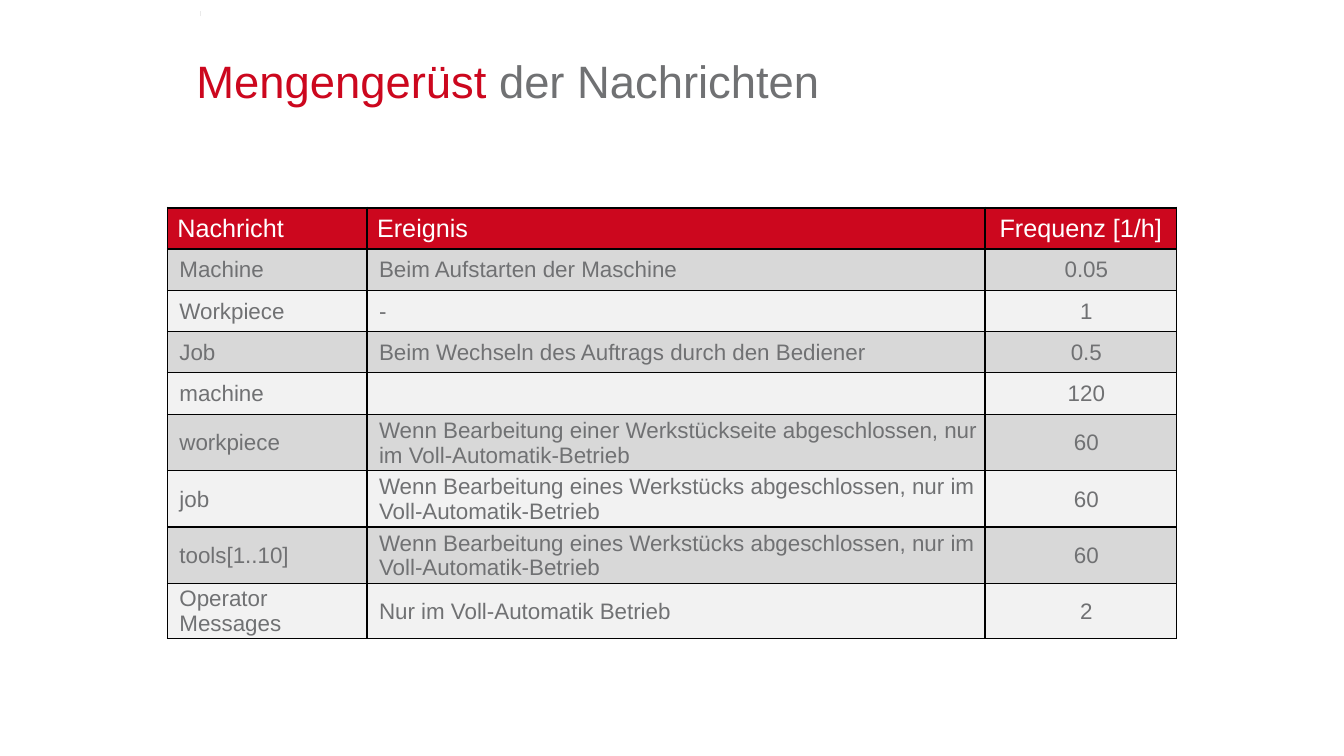
from lxml.etree import SubElement
from pptx import Presentation
from pptx.dml.color import RGBColor
from pptx.enum.shapes import MSO_CONNECTOR
from pptx.enum.text import MSO_ANCHOR, PP_ALIGN
from pptx.oxml.ns import qn
from pptx.util import Inches, Pt

RED, GRAY, WHITE, BLACK = "CC071E", "707173", "FFFFFF", "000000"
BANDS = ("D8D8D8", "F2F2F2")
COLUMN_WIDTHS = (1.98, 6.13, 1.9)
ROW_HEIGHTS = [0.41] * 5 + [0.56] * 3 + [0.48]
HEADER_INSETS = (0.1, 0.05, 0.1, 0.05)
BODY_INSETS = (0.12, 0.01, 0.01, 0)
WORKPIECE_DONE = "Wenn Bearbeitung eines Werkstücks abgeschlossen, nur im Voll-Automatik-Betrieb"
MESSAGES = [
    ("Nachricht", "Ereignis", "Frequenz [1/h]"),
    ("Machine", "Beim Aufstarten der Maschine", "0.05"),
    ("Workpiece", "-", "1"),
    ("Job", "Beim Wechseln des Auftrags durch den Bediener", "0.5"),
    ("machine", "", "120"),
    ("workpiece", "Wenn Bearbeitung einer Werkstückseite abgeschlossen, nur im Voll-Automatik-Betrieb", "60"),
    ("job", WORKPIECE_DONE, "60"),
    ("tools[1..10]", WORKPIECE_DONE, "60"),
    ("Operator\nMessages", "Nur im Voll-Automatik Betrieb", "2"),
]


def color(value):
    return RGBColor.from_string(value)


def set_insets(target, insets):
    for side, inset in zip(("left", "top", "right", "bottom"), insets):
        setattr(target, f"margin_{side}", Inches(inset))


def add_span(para, text, size, shade):
    span = para.add_run()
    span.text = text
    for name, value in {"name": "Arial", "size": Pt(size), "bold": False}.items():
        setattr(span.font, name, value)
    span.font.color.rgb = color(shade)


def add_tick(page, left, top, height):
    tick = page.shapes.add_connector(
        MSO_CONNECTOR.STRAIGHT, Inches(left), Inches(top + height), Inches(left), Inches(top))
    tick.line.color.rgb = color("EAEAEA")
    tick.line.width = Pt(1)
    SubElement(tick._element.spPr, qn("a:effectLst"))


def add_title(page, left, top, width, height):
    box = page.shapes.add_textbox(*map(Inches, (left, top, width, height)))
    frame = box.text_frame
    frame.word_wrap = True
    frame.vertical_anchor = MSO_ANCHOR.BOTTOM
    set_insets(frame, (0.1,) * 4)
    para = frame.paragraphs[0]
    para.line_spacing = 1.12
    add_span(para, "Mengengerüst", 32.4, RED)
    add_span(para, " der Nachrichten", 32.4, GRAY)


def add_borders(cell, widths):
    properties = cell._tc.get_or_add_tcPr()
    for side, width in widths.items():
        line = SubElement(properties, qn(f"a:ln{side}"), w=str(Pt(width)))
        fill = SubElement(line, qn("a:solidFill"))
        SubElement(fill, qn("a:srgbClr"), val=BLACK)


def fill_cell(cell, text, row, column):
    header = row == 0
    add_borders(cell, {
        "L": 1.5 if column == 1 else 1,
        "R": 1.5 if column == 0 else 1,
        "T": 1.5 if header else 1,
        "B": 1,
    })
    cell.fill.solid()
    cell.fill.fore_color.rgb = color(RED if header else BANDS[(row - 1) % 2])
    cell.vertical_anchor = MSO_ANCHOR.MIDDLE
    set_insets(cell, HEADER_INSETS if header else BODY_INSETS)
    frame = cell.text_frame
    for index, line in enumerate(text.split("\n")):
        para = frame.add_paragraph() if index else frame.paragraphs[0]
        para.alignment = PP_ALIGN.CENTER if column == 2 else PP_ALIGN.LEFT
        if line:
            add_span(para, line, 18 if header else 16, WHITE if header else GRAY)


def add_message_table(page, left, top):
    box = map(Inches, (left, top, sum(COLUMN_WIDTHS), sum(ROW_HEIGHTS)))
    table = page.shapes.add_table(len(ROW_HEIGHTS), len(COLUMN_WIDTHS), *box).table
    table.horz_banding = False
    for column, width in zip(table.columns, COLUMN_WIDTHS):
        column.width = Inches(width)
    for row, height in zip(table.rows, ROW_HEIGHTS):
        row.height = Inches(height)
    for row, message in enumerate(MESSAGES):
        for column, text in enumerate(message):
            fill_cell(table.cell(row, column), text, row, column)


def main():
    deck = Presentation()
    deck.slide_width, deck.slide_height = Inches(13.33), Inches(7.5)
    page = deck.slides.add_slide(deck.slide_layouts[6])
    add_tick(page, 1.99, 0.11, 0.05)
    add_title(page, 1.85, 0.55, 11.14, 0.62)
    add_message_table(page, 1.66, 2.06)
    deck.save("out.pptx")


if __name__ == "__main__":
    main()
